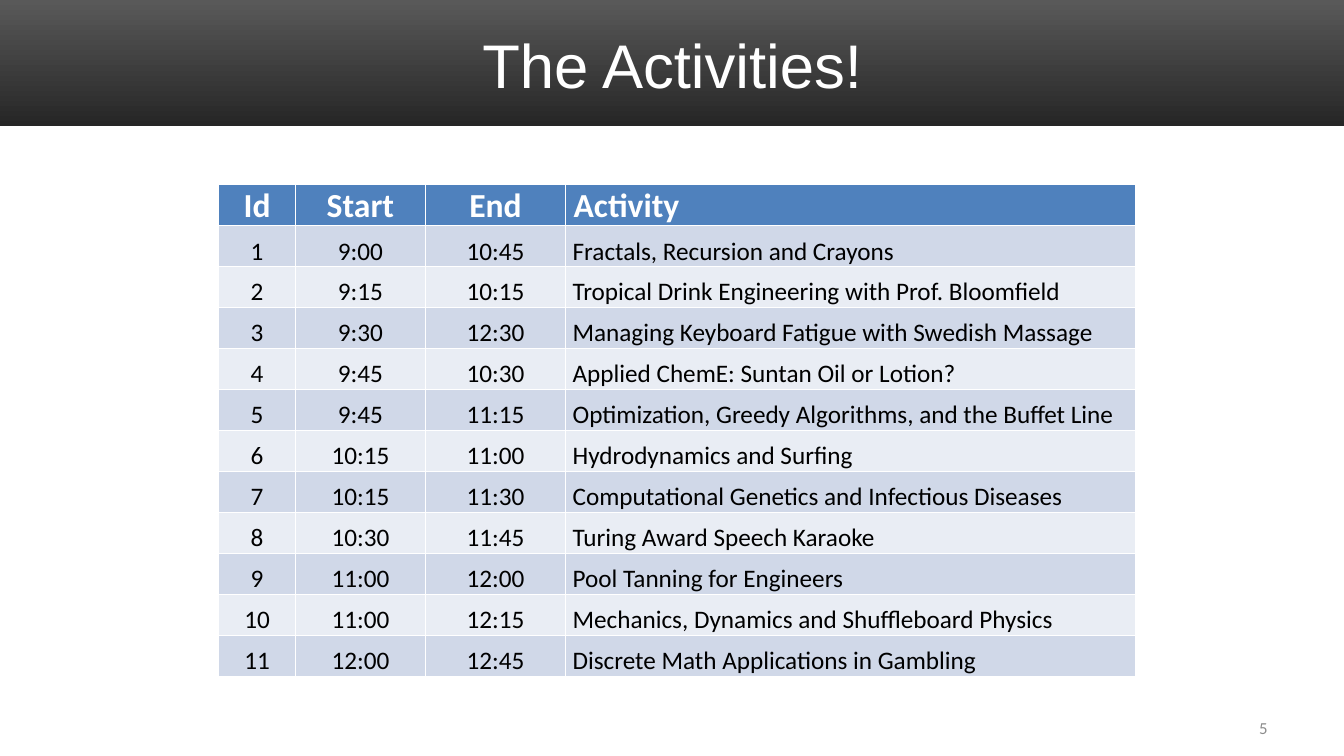
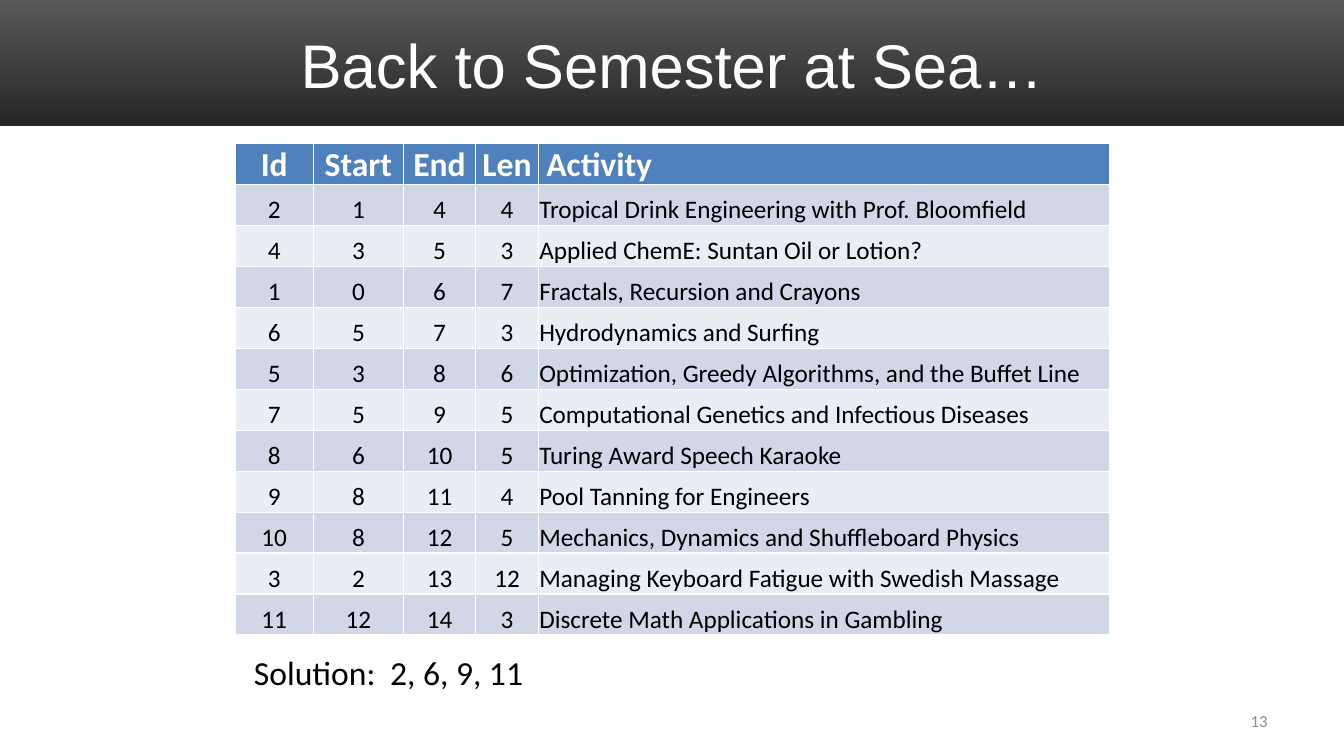
import pptx
import pptx.dml.color
import pptx.enum.shapes
import pptx.enum.text
import pptx.oxml
import pptx.oxml.ns
import pptx.util

Inches = pptx.util.Inches
Pt = pptx.util.Pt
RGBColor = pptx.dml.color.RGBColor
ALIGN = pptx.enum.text.PP_ALIGN
ANCHOR = pptx.enum.text.MSO_ANCHOR

BLACK = RGBColor(0x00, 0x00, 0x00)
WHITE = RGBColor(0xFF, 0xFF, 0xFF)
GREY = RGBColor(0x8C, 0x8C, 0x8C)
BLUE = RGBColor(0x4F, 0x81, 0xBD)
BANDS = [RGBColor(0xD0, 0xD8, 0xE8), RGBColor(0xE9, 0xED, 0xF4)]
SHADES = [RGBColor(0x59, 0x59, 0x59), RGBColor(0x26, 0x26, 0x26)]

TITLE = {"name": "Arial", "size": Pt(44), "color": WHITE}
HEAD = {"name": "Calibri", "size": Pt(24), "color": WHITE, "bold": True}
BODY = {"name": "Calibri", "size": Pt(18), "color": BLACK, "bold": False}
NOTE = {"name": "Calibri", "size": Pt(24), "color": BLACK}
FOOT = {"name": "Calibri", "size": Pt(12), "color": GREY}

# id, start, end, activity
EVENTS = [
    (1, "9:00", "10:45", "Fractals, Recursion and Crayons"),
    (2, "9:15", "10:15", "Tropical Drink Engineering with Prof. Bloomfield"),
    (3, "9:30", "12:30", "Managing Keyboard Fatigue with Swedish Massage"),
    (4, "9:45", "10:30", "Applied ChemE: Suntan Oil or Lotion?"),
    (5, "9:45", "11:15", "Optimization, Greedy Algorithms, and the Buffet Line"),
    (6, "10:15", "11:00", "Hydrodynamics and Surfing"),
    (7, "10:15", "11:30", "Computational Genetics and Infectious Diseases"),
    (8, "10:30", "11:45", "Turing Award Speech Karaoke"),
    (9, "11:00", "12:00", "Pool Tanning for Engineers"),
    (10, "11:00", "12:15", "Mechanics, Dynamics and Shuffleboard Physics"),
    (11, "12:00", "12:45", "Discrete Math Applications in Gambling"),
]
# id, first slot, last slot, in order of last slot
SLOTS = [
    (2, 1, 4), (4, 3, 5), (1, 0, 6), (6, 5, 7), (5, 3, 8), (7, 5, 9),
    (8, 6, 10), (9, 8, 11), (10, 8, 12), (3, 2, 13), (11, 12, 14),
]
NAMES = {event[0]: event[-1] for event in EVENTS}

SLIDES = [
    {
        "title": "The Activities!",
        "head": ["Id", "Start", "End", "Activity"],
        "rows": EVENTS,
        "cols": [0.76, 1.29, 1.39, 5.65],
        "at": (2.17, 1.83),
        "indent": 0.07,
        "page": (5, 7.02),
    },
    {
        "title": "Back to Semester at Sea…",
        "head": ["Id", "Start", "End", "Len", "Activity"],
        "rows": [(key, start, end, end - start + 1, NAMES[key])
                 for key, start, end in SLOTS],
        "cols": [0.78, 0.89, 0.72, 0.62, 5.67],
        "at": (2.33, 1.42),
        "indent": 0.01,
        "page": (13, 6.95),
        "note": "Solution:\t2, 6, 9, 11",
    },
]
TABLE_HEIGHT = 4.88
HEAD_INDENT = 0.08


def set_font(font, style):
    for key, value in style.items():
        if key == "color":
            font.color.rgb = value
        else:
            setattr(font, key, value)


def add_text(slide, text, box, style, align, anchor=ANCHOR.MIDDLE, tab=None):
    """Add a text box; tab is a left tab stop in inches."""
    frame = slide.shapes.add_textbox(*map(Inches, box)).text_frame
    frame.word_wrap = True
    frame.vertical_anchor = anchor
    para = frame.paragraphs[0]
    para.text = text
    para.alignment = align
    if tab:
        stops = pptx.oxml.parse_xml(
            f'<a:tabLst {pptx.oxml.ns.nsdecls("a")}>'
            f'<a:tab pos="{Inches(tab)}" algn="l"/></a:tabLst>')
        para._p.get_or_add_pPr().append(stops)
    set_font(para.font, style)
    return frame


def add_band(slide, width):
    band = slide.shapes.add_shape(
        pptx.enum.shapes.MSO_SHAPE.RECTANGLE, 0, 0, width, Inches(1.25))
    band.shadow.inherit = False
    band.line.fill.background()
    band.fill.gradient()
    band.fill.gradient_angle = 270
    for stop, shade in zip(band.fill.gradient_stops, SHADES):
        stop.color.rgb = shade


def fill_cell(cell, text, style, fill, align, indent):
    cell.fill.solid()
    cell.fill.fore_color.rgb = fill
    cell.vertical_anchor = ANCHOR.BOTTOM
    cell.margin_left = Inches(indent)
    cell.margin_right = cell.margin_top = Inches(0.01)
    cell.margin_bottom = 0
    para = cell.text_frame.paragraphs[0]
    para.alignment = align
    run = para.add_run()
    run.text = str(text)
    set_font(run.font, style)


def add_grid(slide, data):
    rows = [data["head"], *data["rows"]]
    cols = data["cols"]
    left, top = data["at"]
    table = slide.shapes.add_table(
        len(rows), len(cols), Inches(left), Inches(top),
        Inches(sum(cols)), Inches(TABLE_HEIGHT)).table
    for col, width in zip(table.columns, cols):
        col.width = Inches(width)
    for r, row in enumerate(rows):
        style, fill, indent = (
            (BODY, BANDS[(r - 1) % 2], data["indent"]) if r
            else (HEAD, BLUE, HEAD_INDENT))
        for c, text in enumerate(row):
            last = c == len(cols) - 1
            fill_cell(table.cell(r, c), text, style, fill,
                      ALIGN.LEFT if last else ALIGN.CENTER,
                      indent if last else 0.01)


def add_slide(deck, data):
    slide = deck.slides.add_slide(deck.slide_layouts[6])
    add_band(slide, deck.slide_width)
    add_text(slide, data["title"], (0.67, 0.17, 12, 0.92), TITLE, ALIGN.CENTER)
    add_grid(slide, data)
    if "note" in data:
        frame = add_text(slide, data["note"], (2.42, 6.42, 3.58, 0.5), NOTE,
                         ALIGN.LEFT, ANCHOR.TOP, tab=1.35)
        frame.auto_size = pptx.enum.text.MSO_AUTO_SIZE.SHAPE_TO_FIT_TEXT
    page, top = data["page"]
    add_text(slide, str(page), (9.56, top, 3.11, 0.4), FOOT, ALIGN.RIGHT)


def main():
    deck = pptx.Presentation()
    deck.slide_width = Inches(13.33)
    deck.slide_height = Inches(7.5)
    for data in SLIDES:
        add_slide(deck, data)
    deck.save("out.pptx")


if __name__ == "__main__":
    main()
